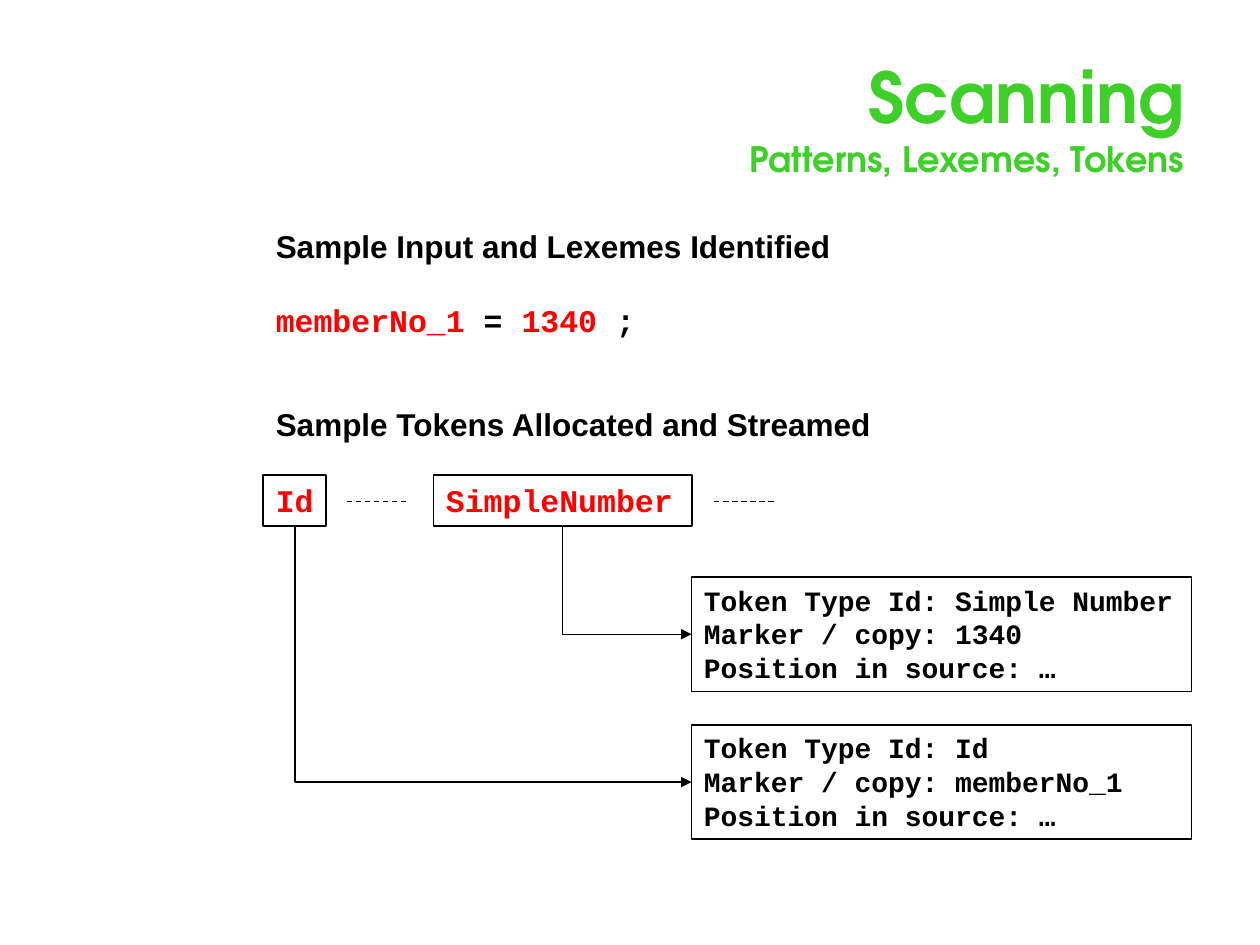
from lxml.etree import SubElement
from pptx import Presentation
from pptx.dml.color import RGBColor
from pptx.enum.dml import MSO_LINE
from pptx.enum.shapes import MSO_CONNECTOR, MSO_SHAPE
from pptx.enum.text import MSO_ANCHOR, MSO_AUTO_SIZE, PP_ALIGN
from pptx.oxml.ns import qn
from pptx.util import Cm, Pt

GREEN = RGBColor(0x3E, 0xCF, 0x29)
RED = RGBColor(0xFF, 0x00, 0x00)
BLACK = RGBColor(0x00, 0x00, 0x00)
WHITE = RGBColor(0xFF, 0xFF, 0xFF)
MARGIN, COLUMN = Cm(5.31), Cm(18.82)


def set_font(font, name, size, color):
    font.name, font.size, font.bold = name, Pt(size), True
    font.color.rgb = color


def style_connector(connector):
    connector.line.color.rgb = BLACK
    connector.line.width = Pt(0.75)
    SubElement(connector.element.spPr, qn("a:effectLst"))


deck = Presentation()
deck.slide_width, deck.slide_height = Cm(25.4), Cm(19.05)
page = deck.slides.add_slide(deck.slide_layouts[5])

# Title with a smaller second line
title = page.shapes.title
title.left, title.top, title.width, title.height = MARGIN, Cm(0.76), COLUMN, Cm(3.18)
title.text_frame.auto_size = MSO_AUTO_SIZE.NONE
title.text_frame.vertical_anchor = MSO_ANCHOR.MIDDLE
para = title.text_frame.paragraphs[0]
para.alignment = PP_ALIGN.RIGHT
for text, size in [("Scanning", 40), ("Patterns, Lexemes, Tokens", 20)]:
    if para.runs:
        para.add_line_break()
    span = para.add_run()
    span.text = text
    set_font(span.font, "TeX Gyre Adventor", size, GREEN)

# Section headings
headings = [
    ("Sample Input and Lexemes Identified", 4.45, 2.57),
    ("Sample Tokens Allocated and Streamed", 8.05, 1.02),
]
frames = []
for text, top, height in headings:
    frame = page.shapes.add_textbox(MARGIN, Cm(top), COLUMN, Cm(height)).text_frame
    frame.word_wrap = True
    para = frame.paragraphs[0]
    para.text = text
    set_font(para.font, "Arial", 18, BLACK)
    frames.append(frame)

# Sample input line under the first heading
para = frames[0].add_paragraph()
para.space_before = Pt(21)
for text, color in [("memberNo_1", RED), (" = ", BLACK), ("1340", RED), (" ;", BLACK)]:
    span = para.add_run()
    span.text = text
    set_font(span.font, "Courier New", 18, color)

# Tokens and the records they point to: lines, left, top, width, height, size, color
box_rows = [
    (["Id"], 5.31, 9.58, 1.27, 1.02, 18, RED),
    (["SimpleNumber"], 8.74, 9.58, 5.21, 1.02, 18, RED),
    (["Token Type Id: Id", "Marker / copy: memberNo_1", "Position in source: …"],
     13.94, 14.61, 10.08, 2.31, 16, BLACK),
    (["Token Type Id: Simple Number", "Marker / copy: 1340", "Position in source: …"],
     13.94, 11.63, 10.08, 2.31, 16, BLACK),
]
boxes = []
for lines, left, top, width, height, size, color in box_rows:
    box = page.shapes.add_shape(
        MSO_SHAPE.RECTANGLE, Cm(left), Cm(top), Cm(width), Cm(height))
    box.shadow.inherit = False
    box.fill.solid()
    box.fill.fore_color.rgb = WHITE
    box.line.color.rgb = BLACK
    box.line.width = Pt(1)
    frame = box.text_frame
    frame.word_wrap = True
    frame.margin_right = 0
    frame.vertical_anchor = MSO_ANCHOR.TOP
    frame.text = "\n".join(lines)
    for para in frame.paragraphs:
        para.alignment = PP_ALIGN.LEFT
        set_font(para.font, "Courier New", size, color)
    boxes.append(box)

# Dashes for the tokens left out
for left in (6.99, 14.4):
    dash = page.shapes.add_connector(
        MSO_CONNECTOR.STRAIGHT, Cm(left), Cm(10.11), Cm(left + 1.27), Cm(10.11))
    style_connector(dash)
    dash.line.dash_style = MSO_LINE.DASH

# Elbow arrows: down from each token, then right into its record
for token, record in zip(boxes[:2], boxes[2:]):
    start_x, start_y = token.left + token.width // 2, token.top + token.height
    run = record.left - start_x
    drop = record.top + record.height // 2 - start_y
    arrow = page.shapes.add_connector(MSO_CONNECTOR.ELBOW, 0, 0, 0, 0)
    arrow.begin_connect(token, 2)
    arrow.end_connect(record, 1)
    style_connector(arrow)
    SubElement(arrow.line._get_or_add_ln(), qn("a:tailEnd"), type="triangle")
    # A single bend, turned a quarter and mirrored about its centre
    properties = arrow.element.spPr
    properties.find(qn("a:prstGeom")).set("prst", "bentConnector2")
    frame_xml = properties.find(qn("a:xfrm"))
    frame_xml.set("rot", "16200000")
    frame_xml.set("flipH", "1")
    arrow.left, arrow.top = start_x + (run - drop) // 2, start_y + (drop - run) // 2
    arrow.width, arrow.height = drop, run

deck.save("out.pptx")
